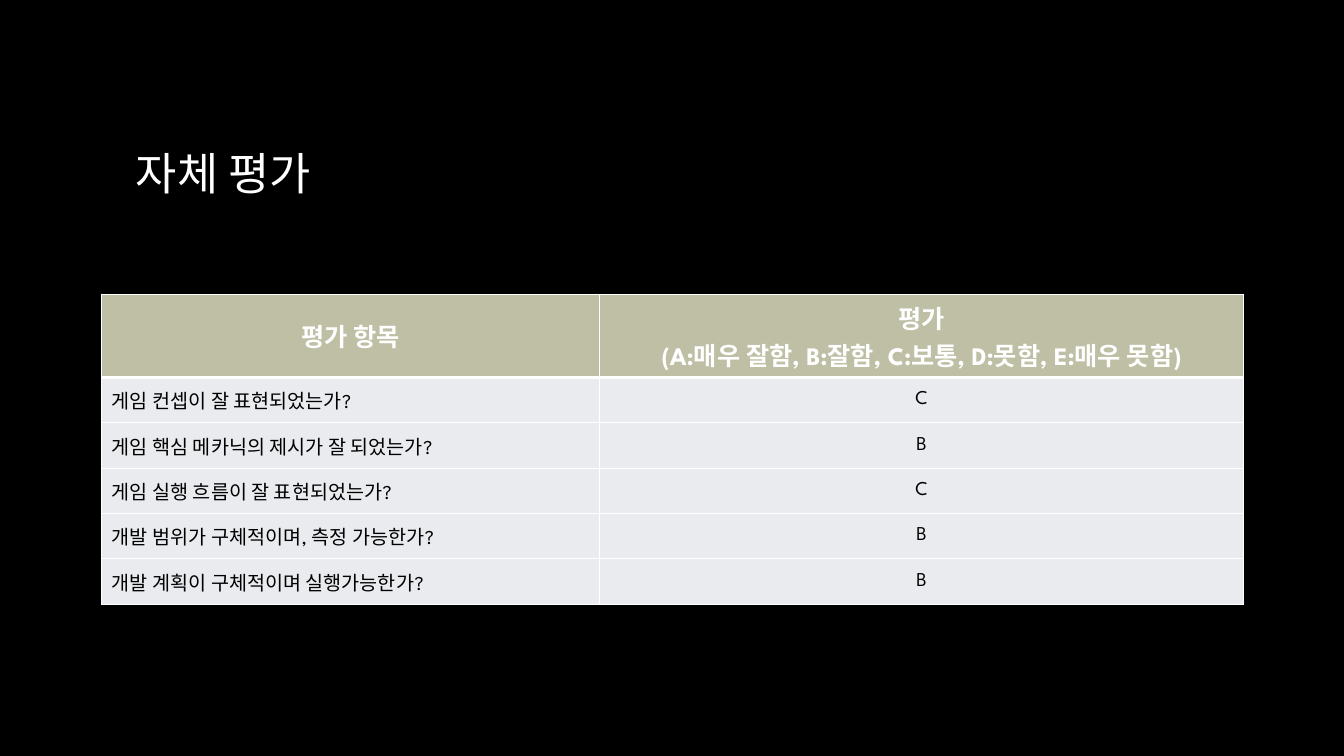
from lxml import etree
from pptx import Presentation
from pptx.dml.color import RGBColor
from pptx.enum.text import MSO_ANCHOR, PP_ALIGN
from pptx.oxml.ns import qn
from pptx.util import Inches, Pt

MIDDLE = MSO_ANCHOR.MIDDLE
LEFT, CENTER = PP_ALIGN.LEFT, PP_ALIGN.CENTER
BLACK = RGBColor(0x00, 0x00, 0x00)
WHITE = RGBColor(0xFF, 0xFF, 0xFF)
KHAKI = RGBColor(0xBF, 0xBF, 0xA5)
PALE = RGBColor(0xE9, 0xEB, 0xEE)

HEADS = ["평가 항목", "평가\n(A:매우 잘함, B:잘함, C:보통, D:못함, E:매우 못함)"]
GRADES = [
    ("게임 컨셉이 잘 표현되었는가?", "C"),
    ("게임 핵심 메카닉의 제시가 잘 되었는가?", "B"),
    ("게임 실행 흐름이 잘 표현되었는가?", "C"),
    ("개발 범위가 구체적이며, 측정 가능한가?", "B"),
    ("개발 계획이 구체적이며 실행가능한가?", "B"),
]


class Page:
    font = "League Spartan"

    def __init__(self, slide):
        self.slide = slide
        fill = slide.background.fill
        fill.solid()
        fill.fore_color.rgb = BLACK

    def label(self, frame, text, size, color, align=LEFT, bold=False):
        frame.text = text
        for para in frame.paragraphs:
            para.alignment = align
            font = para.font
            font.name, font.size, font.bold = self.font, Pt(size), bold
            font.color.rgb = color

    def title(self, text, left, top, width, height):
        box = self.slide.shapes.add_textbox(
            Inches(left), Inches(top), Inches(width), Inches(height))
        frame = box.text_frame
        frame.word_wrap = True
        frame.vertical_anchor = MIDDLE
        self.label(frame, text, 32, WHITE)

    def border(self, cell, **widths):
        props = cell._tc.get_or_add_tcPr()
        for side in "LRTB":
            line = etree.SubElement(props, qn("a:ln" + side),
                                    w=str(Pt(widths.get(side, 1))))
            fill = etree.SubElement(line, qn("a:solidFill"))
            etree.SubElement(fill, qn("a:srgbClr"), val=str(WHITE))

    def table(self, rows, left, top, widths, heights):
        grid = self.slide.shapes.add_table(
            len(rows), len(widths), Inches(left), Inches(top),
            Inches(sum(widths)), Inches(sum(heights))).table
        for col, width in zip(grid.columns, widths):
            col.width = Inches(width)
        for r, (row, height) in enumerate(zip(rows, heights)):
            grid.rows[r].height = Inches(height)
            head = r == 0
            for c, text in enumerate(row):
                cell = grid.cell(r, c)
                # Thick rule between the header and the first row
                self.border(cell, B=3 if head else 1, T=3 if r == 1 else 1)
                cell.fill.solid()
                cell.fill.fore_color.rgb = KHAKI if head else PALE
                cell.vertical_anchor = MIDDLE
                self.label(cell.text_frame, text, 18 if head else 14,
                           WHITE if head else BLACK,
                           CENTER if head or c else LEFT, head)


def main():
    deck = Presentation()
    deck.slide_width, deck.slide_height = Inches(13.33), Inches(7.5)
    page = Page(deck.slides.add_slide(deck.slide_layouts[6]))

    # Grading table
    page.table([HEADS] + GRADES, 1.01, 2.92, [4.94, 6.38],
               [0.82] + [0.45] * len(GRADES))

    # Title
    page.title("자체 평가", 1.25, 0.67, 10.83, 2.08)

    deck.save("out.pptx")


if __name__ == "__main__":
    main()
